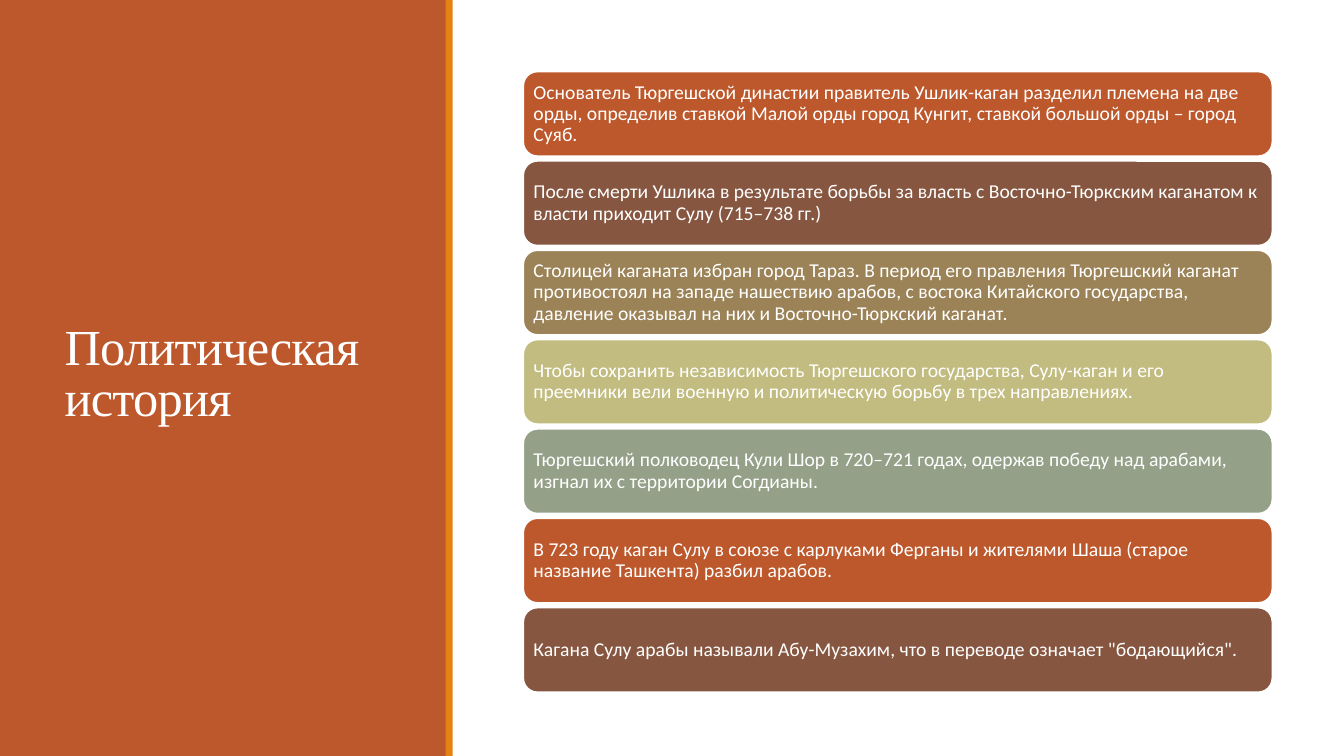
import pptx
import pptx.util
import pptx.dml.color
import pptx.enum.shapes
import pptx.enum.text
import pptx.oxml.ns

Inches = pptx.util.Inches
COLORS = {
    "white": "FFFFFF",
    "rust": "BD582C",
    "orange": "E48312",
    "brown": "865640",
    "bronze": "9B8357",
    "olive": "C2BC80",
    "sage": "94A088",
}
EVENTS = [
    ("rust", "Основатель Тюргешской династии правитель Ушлик-каган разделил племена на две орды, определив ставкой Малой орды город Кунгит, ставкой большой орды – город Суяб."),
    ("brown", "После смерти Ушлика в результате борьбы за власть с Восточно-Тюркским каганатом к власти приходит Сулу (715–738 гг.)"),
    ("bronze", "Столицей каганата избран город Тараз. В период его правления Тюргешский каганат противостоял на западе нашествию арабов, с востока Китайского государства, давление оказывал на них и Восточно-Тюркский каганат."),
    ("olive", "Чтобы сохранить независимость Тюргешского государства, Сулу-каган и его преемники вели военную и политическую борьбу в трех направлениях."),
    ("sage", "Тюргешский полководец Кули Шор в 720–721 годах, одержав победу над арабами, изгнал их с территории Согдианы."),
    ("rust", "В 723 году каган Сулу в союзе с карлуками Ферганы и жителями Шаша (старое название Ташкента) разбил арабов."),
    ("brown", "Кагана Сулу арабы называли Абу-Музахим, что в переводе означает \"бодающийся\"."),
]


def add_box(page, kind, color, left, top, width, height):
    box = page.shapes.add_shape(kind, Inches(left), Inches(top), Inches(width), Inches(height))
    box.shadow.inherit = False
    box.fill.solid()
    box.fill.fore_color.rgb = pptx.dml.color.RGBColor.from_string(COLORS[color])
    box.line.fill.background()
    return box


def write_text(box, text, font, size, spacing):
    frame = box.text_frame
    frame.word_wrap = True
    frame.vertical_anchor = pptx.enum.text.MSO_ANCHOR.MIDDLE
    para = frame.paragraphs[0]
    para.text = text
    para.alignment = pptx.enum.text.PP_ALIGN.LEFT
    para.line_spacing = spacing
    para.font.name = font
    para.font.size = pptx.util.Pt(size)
    para.font.color.rgb = pptx.dml.color.RGBColor.from_string(COLORS["white"])
    return frame


deck = pptx.Presentation()
deck.slide_width = Inches(13.33)
deck.slide_height = Inches(7.5)
page = deck.slides.add_slide(deck.slide_layouts[5])

RECTANGLE = pptx.enum.shapes.MSO_SHAPE.RECTANGLE
ROUNDED = pptx.enum.shapes.MSO_SHAPE.ROUNDED_RECTANGLE
panel = add_box(page, RECTANGLE, "rust", 0, 0, 4.43, 7.5)
stripe = add_box(page, RECTANGLE, "orange", 4.42, 0, 0.07, 7.5)

title = page.shapes.title
title.left, title.top = Inches(0.54), Inches(0.57)
title.width, title.height = Inches(3.37), Inches(6.31)
write_text(title, "Политическая история", "Times New Roman", 36, 0.85)
title.text_frame.auto_size = pptx.enum.text.MSO_AUTO_SIZE.NONE
for properties in title.element.iter(pptx.oxml.ns.qn("a:defRPr")):
    properties.set("spc", "-50")
panel.element.addnext(title.element)

for index, (color, text) in enumerate(EVENTS):
    card = add_box(page, ROUNDED, color, 5.19, 0.71 + index * 0.8863, 7.43, 0.84)
    card.line.color.rgb = pptx.dml.color.RGBColor.from_string(COLORS["white"])
    card.line.width = pptx.util.Pt(1.25)
    frame = write_text(card, text, "Calibri", 14, 0.9)
    frame.margin_left = frame.margin_right = Inches(0.06)
    frame.margin_top = frame.margin_bottom = Inches(0.06)

deck.save("out.pptx")
